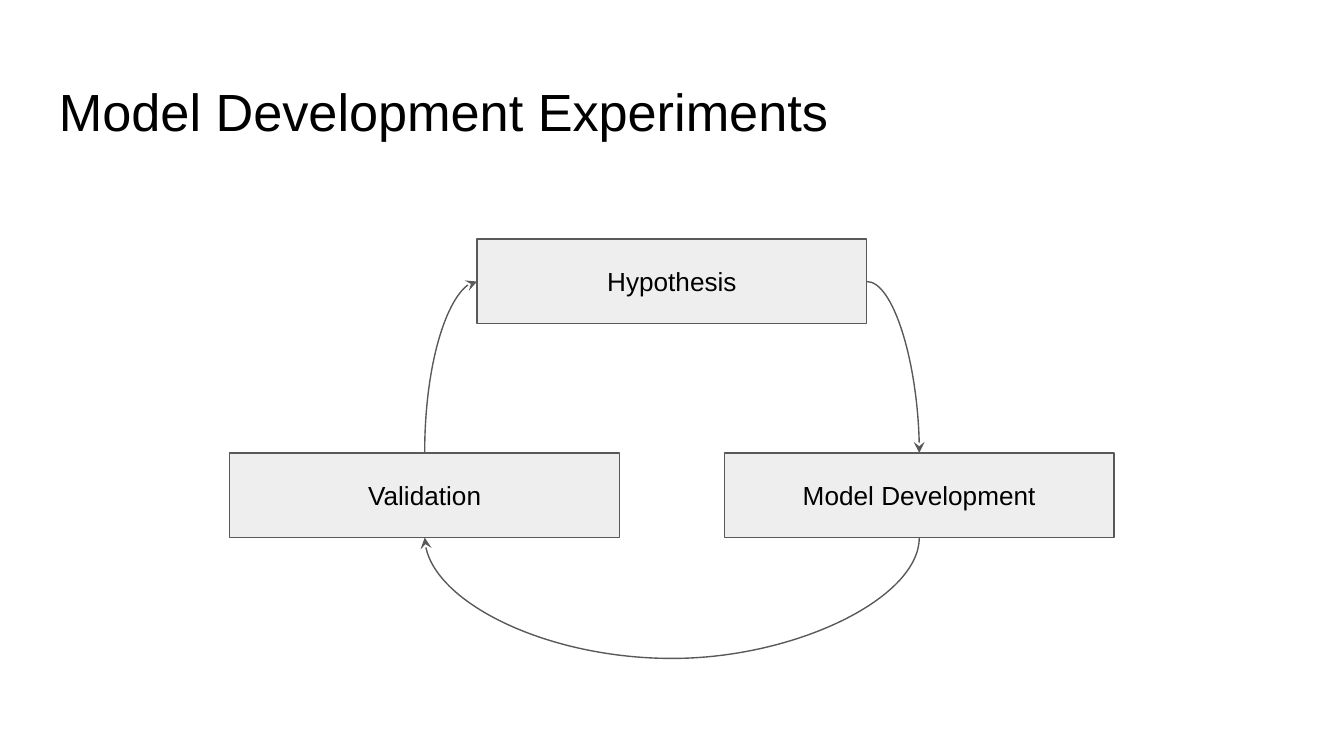
from lxml import etree
from pptx import Presentation, util as u
from pptx.dml.color import RGBColor
from pptx.enum import shapes as sh, text as tx
from pptx.oxml.ns import qn

HUE = {"ink": "000000", "box": "EEEEEE", "line": "595959"}
WIDE = 10
HIGH = WIDE * 9 / 16
MID = WIDE / 2
BOX_W, BOX_H = 2.9, 0.63
STEP = 1.84
ROWS = [1.78, 3.37]
DIP, THIN = 0.75, 600

deck = Presentation()
deck.slide_width, deck.slide_height = u.Inches(WIDE), u.Inches(HIGH)
slide = deck.slides.add_slide(deck.slide_layouts[6])


def write(shape, words, size=14, align=tx.PP_ALIGN.CENTER, anchor=tx.MSO_ANCHOR.MIDDLE):
    frame = shape.text_frame
    frame.word_wrap = True
    frame.vertical_anchor = anchor
    frame.margin_left = frame.margin_right = u.Inches(0.1)
    frame.margin_top = frame.margin_bottom = u.Inches(0.1)
    para = frame.paragraphs[0]
    para.alignment = align
    run = para.add_run()
    run.text = words
    run.font.size, run.font.name = u.Pt(size), "Arial"
    run.font.color.rgb = RGBColor.from_string(HUE["ink"])


def trim(shape):
    shape.line.color.rgb = RGBColor.from_string(HUE["line"])
    shape.line.width = u.Pt(0.75)


title = slide.shapes.add_textbox(*map(u.Inches, (0.34, 0.49, WIDE - 0.68, 0.63)))
write(title, "Model Development Experiments", size=28,
      align=tx.PP_ALIGN.LEFT, anchor=tx.MSO_ANCHOR.TOP)

boxes = {}
for name, col, row in [("Hypothesis", 0, 0), ("Model Development", 1, 1), ("Validation", -1, 1)]:
    left = MID + col * STEP - BOX_W / 2
    box = slide.shapes.add_shape(sh.MSO_SHAPE.RECTANGLE,
                                 *map(u.Inches, (left, ROWS[row], BOX_W, BOX_H)))
    box.shadow.inherit = False
    box.fill.solid()
    box.fill.fore_color.rgb = RGBColor.from_string(HUE["box"])
    trim(box)
    write(box, name)
    boxes[name] = box

top, right, left = boxes.values()
side = u.Inches(STEP - BOX_W / 2)
drop = right.top - top.top - top.height // 2
span = u.Inches(2 * STEP)
mid = u.Inches(MID)
edge = top.top + top.height // 2 + drop // 2
base = right.top + right.height
far = mid + span // 2 - side // 2

arcs = [
    (top, 3, right, 0, far, edge, side, drop, 0, "curvedConnector2"),
    (right, 2, left, 2, mid, base, THIN, span, 90, "curvedConnector3"),
    (left, 0, top, 1, 2 * mid - far, edge, drop, side, 270, "curvedConnector2"),
]
for start, out, end, into, x, y, w, h, turn, kind in arcs:
    arc = slide.shapes.add_connector(sh.MSO_CONNECTOR.CURVE, 0, 0, 0, 0)
    arc.begin_connect(start, out)
    arc.end_connect(end, into)
    arc.left, arc.top, arc.width, arc.height = x - w // 2, y - h // 2, w, h
    trim(arc)
    prop = arc._element.spPr
    form = prop.find(qn("a:xfrm"))
    for flip in ("flipH", "flipV"):
        form.attrib.pop(flip, None)
    form.set("rot", str(turn * 60000))
    geom = prop.find(qn("a:prstGeom"))
    geom.set("prst", kind)
    if w == THIN:
        bend = round(u.Inches(DIP) / THIN * 100000)
        etree.SubElement(geom.find(qn("a:avLst")), qn("a:gd"), name="adj1", fmla=f"val {bend}")
    etree.SubElement(prop.find(qn("a:ln")), qn("a:tailEnd"), type="stealth", w="med", len="med")
    etree.SubElement(prop, qn("a:effectLst"))

deck.save("out.pptx")
